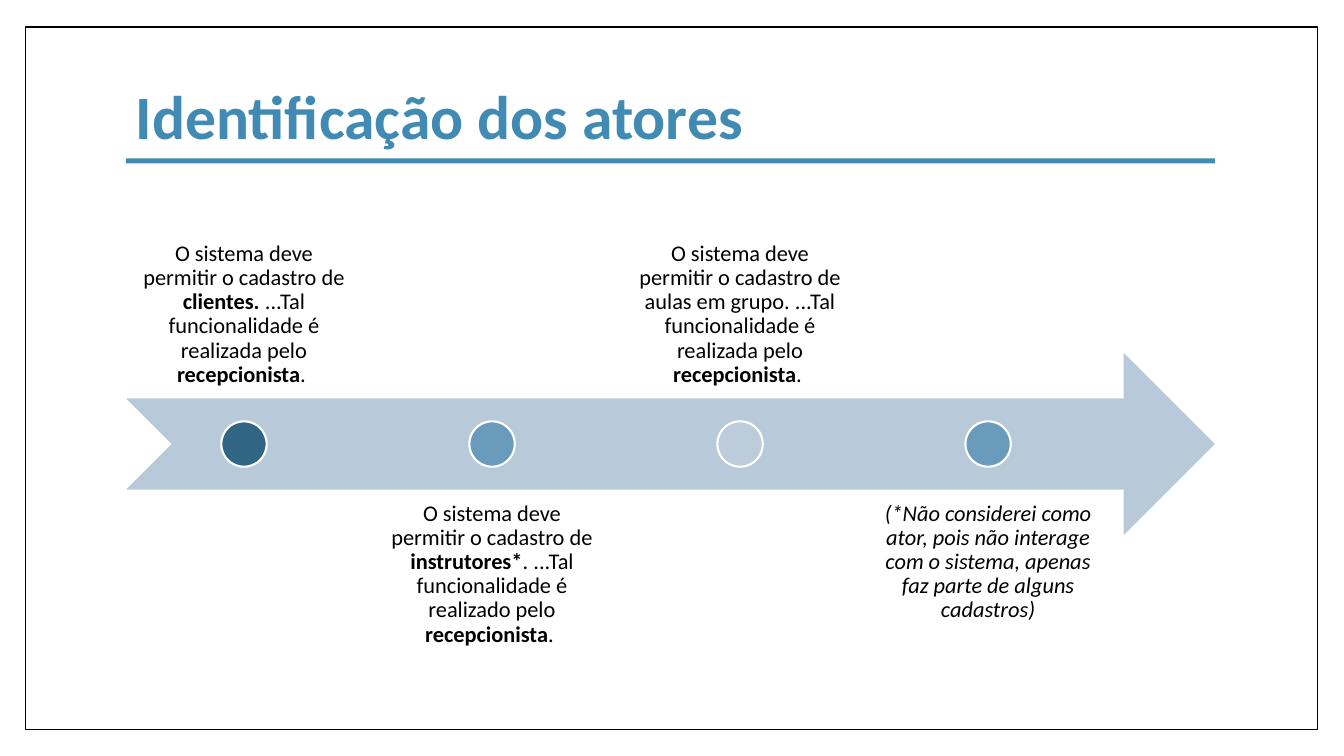
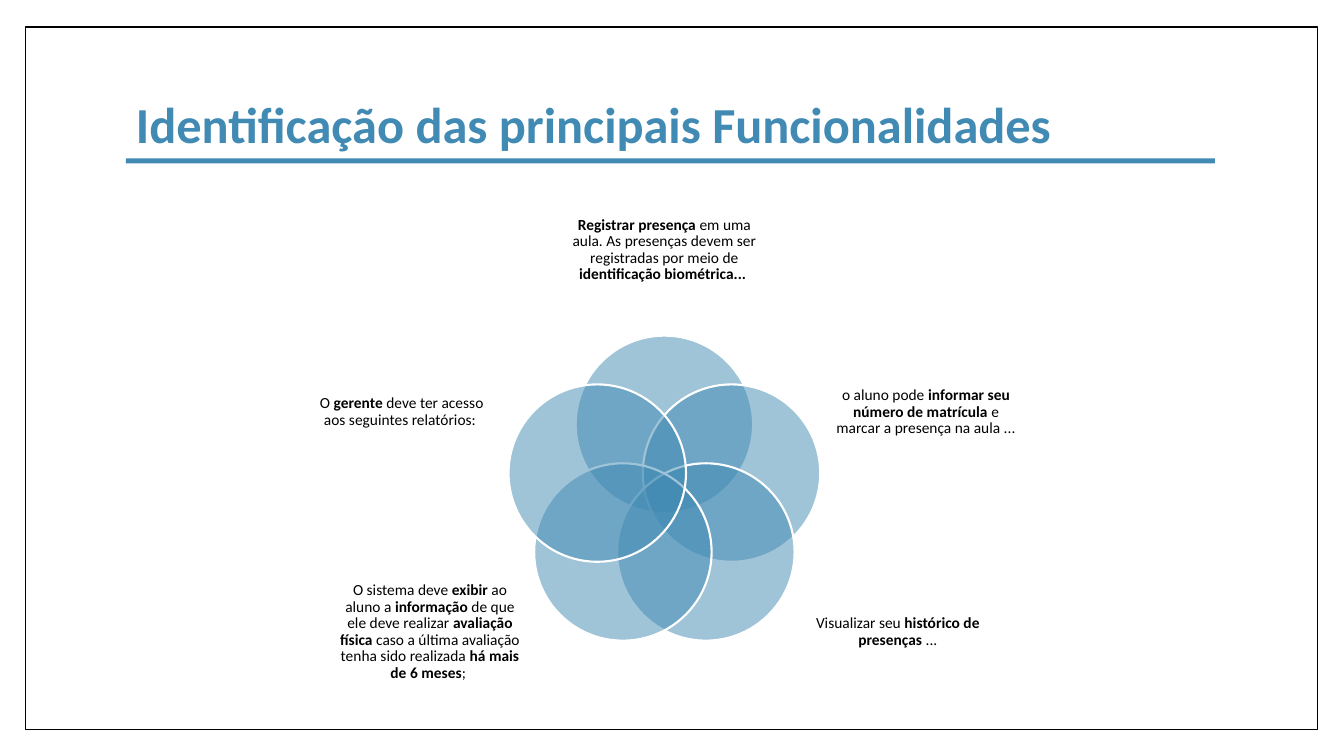
from math import cos, pi, sin

from lxml.etree import SubElement
from pptx import Presentation
from pptx.dml.color import RGBColor
from pptx.enum.shapes import MSO_SHAPE
from pptx.enum.text import MSO_ANCHOR, PP_ALIGN
from pptx.oxml.ns import qn
from pptx.util import Pt

# Shared look, lengths in px
PX = 9144  # EMU per px, 100 px to the inch
FONT = "Calibri"
WHITE, BLACK, BLUE = "FFFFFF", "000000", "418AB3"
ARROW_BLUE = "B8CADA"
LEFT, WIDTH = 125, 1080
FRAME = (25, 27, 1282, 697)
TITLE_BOX = (LEFT, 67, WIDTH, 104)
TITLE_RULE = (LEFT, 157, WIDTH, 5)

# Slide 1: one step per dot; each run is (text, style), b bold, i italic
ACTORS_TITLE = "Identificação dos atores"
STEPS = [
    ("306684", [("O sistema deve permitir o cadastro de ", ""), ("clientes. ", "b"),
                ("...Tal funcionalidade é realizada pelo ", ""),
                ("recepcionista", "b"), (". ", "")]),
    ("6A9ABC", [("O sistema deve permitir o cadastro de ", ""), ("instrutores*", "b"),
                (". ...Tal funcionalidade é realizado pelo ", ""),
                ("recepcionista", "b"), (". ", "")]),
    ("BCCCDA", [("O sistema deve permitir o cadastro de aulas em grupo. "
                 "...Tal funcionalidade é realizada pelo ", ""),
                ("recepcionista", "b"), (". ", "")]),
    ("6A9ABC", [("(*Não considerei como ator, pois não interage com o sistema, "
                 "apenas faz parte de alguns cadastros)", "i")]),
]
ARROW_TOP, BAND_HEIGHT = 350, 181
STEP_WIDTH, STEP_GAP, STEP_INSET = 234, 12, 12
STEP_TOPS = [(215, MSO_ANCHOR.BOTTOM), (486, MSO_ANCHOR.TOP)]  # above, below
DOT = 45

# Slide 2: one label box per circle, clockwise from the top
FEATURES_TITLE = "Identificação das principais Funcionalidades"
FEATURES = [
    ((557, 189, 204, 118), [("Registrar presença ", "b"),
                            ("em uma aula. As presenças devem ser registradas por meio de ", ""),
                            ("identificação biométrica... ", "b")]),
    ((827, 345, 183, 128), [("o aluno pode ", ""), ("informar seu número de matrícula ", "b"),
                            ("e marcar a presença na aula ...", "")]),
    ((799, 563, 183, 128), [("Visualizar seu ", ""), ("histórico de presenças ", "b"),
                            ("...", "")]),
    ((335, 563, 183, 128), [("O sistema deve ", ""), ("exibir", "b"), (" ao aluno a ", ""),
                            ("informação", "b"), (" de que ele deve realizar ", ""),
                            ("avaliação física", "b"),
                            (" caso a última avaliação tenha sido realizada ", ""),
                            ("há mais de 6 meses", "b"), ("; ", "")]),
    ((307, 345, 183, 128), [("O ", ""), ("gerente", "b"),
                            (" deve ter acesso aos seguintes relatórios: ", "")]),
]
FLOWER_X, FLOWER_Y, ORBIT, CIRCLE = 659, 491, 70, 176


def color(hex_text):
    return RGBColor.from_string(hex_text)


def emu(box):
    return [round(length * PX) for length in box]


def add_figure(slide, preset, box, fill, line=None, line_width=1.5, opacity=None):
    figure = slide.shapes.add_shape(preset, *emu(box))
    figure.shadow.inherit = False
    figure.fill.solid()
    figure.fill.fore_color.rgb = color(fill)
    if opacity is not None:
        solid = figure.fill._xPr.find(qn("a:solidFill"))
        SubElement(solid[0], qn("a:alpha"), val=str(opacity * 1000))
    if line:
        figure.line.color.rgb = color(line)
        figure.line.width = Pt(line_width)
    else:
        figure.line.fill.background()


def add_text(slide, box, runs, size, ink=BLACK, anchor=MSO_ANCHOR.MIDDLE,
             align=PP_ALIGN.CENTER, inset=(0, 0), spacing=0.9):
    frame = slide.shapes.add_textbox(*emu(box)).text_frame
    frame.word_wrap = True
    frame.vertical_anchor = anchor
    side, edge = emu(inset)
    frame.margin_left = frame.margin_right = side
    frame.margin_top = frame.margin_bottom = edge
    paragraph = frame.paragraphs[0]
    paragraph.alignment = align
    paragraph.line_spacing = spacing
    for words, style in runs:
        run = paragraph.add_run()
        run.text = words
        run.font.name = FONT
        run.font.size = Pt(size)
        run.font.bold = "b" in style
        run.font.italic = "i" in style
        run.font.color.rgb = color(ink)


def start_slide(deck, title, size, spacing):
    slide = deck.slides.add_slide(deck.slide_layouts[6])
    add_figure(slide, MSO_SHAPE.RECTANGLE, FRAME, WHITE, BLACK, 1)
    add_text(slide, TITLE_BOX, [(title, "b")], size, BLUE,
             align=PP_ALIGN.LEFT, inset=(10, 5), spacing=spacing)
    add_figure(slide, MSO_SHAPE.RECTANGLE, TITLE_RULE, BLUE)
    return slide


def build_actors(deck):
    slide = start_slide(deck, ACTORS_TITLE, 44, 0.9)
    add_figure(slide, MSO_SHAPE.NOTCHED_RIGHT_ARROW,
               (LEFT, ARROW_TOP, WIDTH, BAND_HEIGHT), ARROW_BLUE)
    for index, (dot_fill, runs) in enumerate(STEPS):
        left = LEFT + index * (STEP_WIDTH + STEP_GAP)
        top, anchor = STEP_TOPS[index % 2]
        add_text(slide, (left, top, STEP_WIDTH, BAND_HEIGHT), runs, 16,
                 anchor=anchor, inset=(STEP_INSET, STEP_INSET))
        dot_left = left + (STEP_WIDTH - DOT) / 2
        dot_top = ARROW_TOP + (BAND_HEIGHT - DOT) / 2
        add_figure(slide, MSO_SHAPE.OVAL, (dot_left, dot_top, DOT, DOT), dot_fill, WHITE)


def build_features(deck):
    slide = start_slide(deck, FEATURES_TITLE, 36, 1.1)
    for index, (label_box, runs) in enumerate(FEATURES):
        angle = 2 * pi * index / len(FEATURES)
        left = FLOWER_X + ORBIT * sin(angle) - CIRCLE / 2
        top = FLOWER_Y - ORBIT * cos(angle) - CIRCLE / 2
        add_figure(slide, MSO_SHAPE.OVAL, (left, top, CIRCLE, CIRCLE), BLUE, WHITE, opacity=50)
        add_text(slide, label_box, runs, 11)


def main():
    deck = Presentation()
    deck.slide_width, deck.slide_height = emu((1333, 750))
    build_actors(deck)
    build_features(deck)
    deck.save("out.pptx")


if __name__ == "__main__":
    main()
